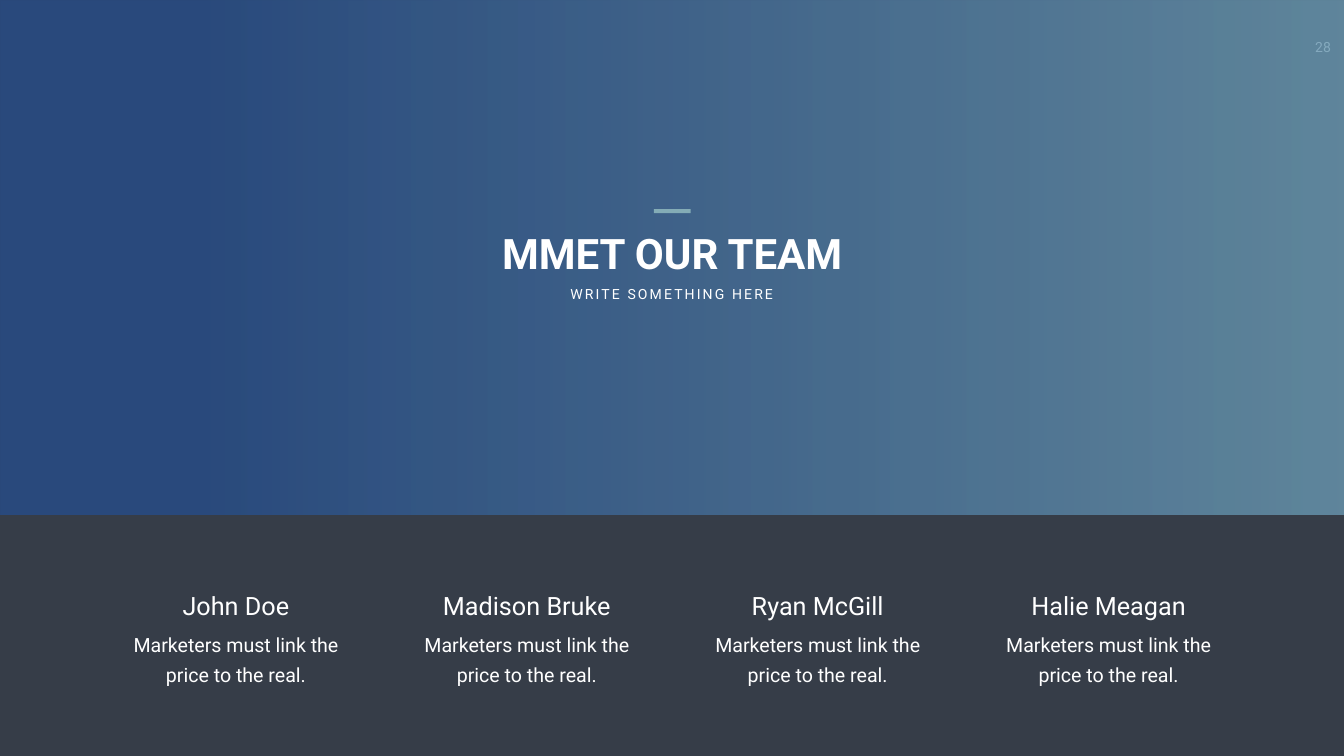
"""Build the team slide: a gradient banner with a title above four team members."""
from lxml import etree
from pptx import Presentation
from pptx.dml.color import RGBColor
from pptx.enum.shapes import MSO_SHAPE as SHAPE
from pptx.enum.text import MSO_ANCHOR as ANCHOR, MSO_AUTO_SIZE as AUTO, PP_ALIGN as ALIGN
from pptx.oxml.ns import qn
from pptx.util import Inches, Pt

COLORS = {
    "white": "FFFFFF",
    "dark": "363D48",
    "navy": "264D89",
    "sky": "6997AF",
    "accent": "84ACB6",
}
RGB = {name: RGBColor.from_string(value) for name, value in COLORS.items()}


def write(sp, text, size, wrap=True, bold=False, line=None, margin=0.1):
    tf = sp.text_frame
    frame = {
        "word_wrap": wrap,
        "auto_size": AUTO.SHAPE_TO_FIT_TEXT,
        "vertical_anchor": ANCHOR.TOP,
        "margin_left": Inches(margin),
        "margin_right": Inches(margin),
        "margin_top": Inches(margin / 2),
        "margin_bottom": Inches(margin / 2),
    }
    for key, value in frame.items():
        setattr(tf, key, value)
    p = tf.paragraphs[0]
    p.alignment = ALIGN.CENTER
    if line:
        p.line_spacing = Pt(line)
    r = p.add_run()
    r.text = text
    for key, value in {"name": "Roboto", "size": Pt(size), "bold": bold}.items():
        setattr(r.font, key, value)
    r.font.color.rgb = RGB["white"]
    return r


def add_text(left, top, width, height, *args, **kwargs):
    sp = s.shapes.add_textbox(Inches(left), Inches(top), Inches(width), Inches(height))
    return write(sp, *args, **kwargs)


prs = Presentation()
prs.slide_width, prs.slide_height = Inches(26.66), Inches(15)
s = prs.slides.add_slide(prs.slide_layouts[5])
s.background.fill.solid()
s.background.fill.fore_color.rgb = RGB["dark"]

add_text(25.79, 0.67, 0.91, 0.54, "28", 20, wrap=False, margin=0.2)

banner = s.shapes.add_shape(SHAPE.RECTANGLE, 0, 0, prs.slide_width, Inches(10.2))
banner.shadow.inherit = False
banner.line.fill.background()
banner.fill.gradient()
banner.fill.gradient_angle = 0
for stop, color, position in zip(banner.fill.gradient_stops, ("navy", "sky"), (0.15, 1)):
    stop.color.rgb = RGB[color]
    stop.position = position
for clr in banner.element.spPr.iter(qn("a:srgbClr")):
    etree.SubElement(clr, qn("a:alpha"), val="80000")

title = s.shapes.title
banner.element.addnext(title.element)
place = {"left": 8.18, "top": 4.46, "width": 10.31, "height": 1.11}
for key, value in place.items():
    setattr(title, key, Inches(value))
write(title, "MMET OUR TEAM", 60, bold=True)

subtitle = add_text(11.15, 5.61, 4.35, 0.44, "WRITE SOMETHING HERE", 20, wrap=False)
subtitle.font._element.set("spc", "300")

accent = s.shapes.add_shape(
    SHAPE.RECTANGLE, Inches(12.97), Inches(4.15), Inches(0.73), Inches(0.08))
accent.shadow.inherit = False
accent.fill.solid()
accent.fill.fore_color.rgb = RGB["accent"]
accent.line.fill.background()

members = [("John Doe", 2.36), ("Madison Bruke", 3.61), ("Ryan McGill", 2.92), ("Halie Meagan", 3.33)]
for i, (name, width) in enumerate(members):
    center = 4.68 + 5.77 * i
    add_text(center - width / 2, 11.67, width, 0.71, name, 36, wrap=False)
    add_text(center - 2.26, 12.38, 4.52, 1.27,
             "Marketers must link the price to the real.", 28, line=43)

prs.save("out.pptx")
